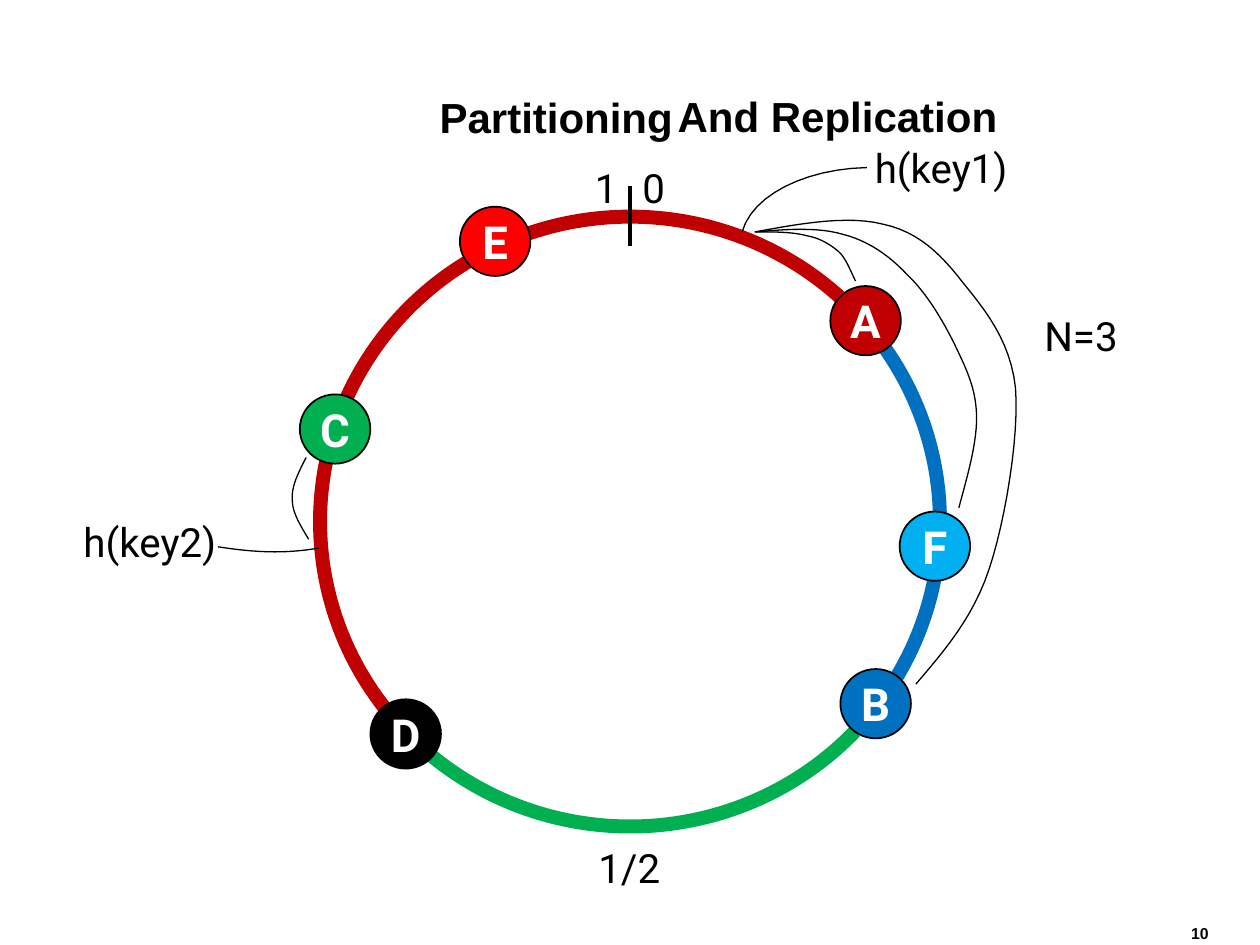
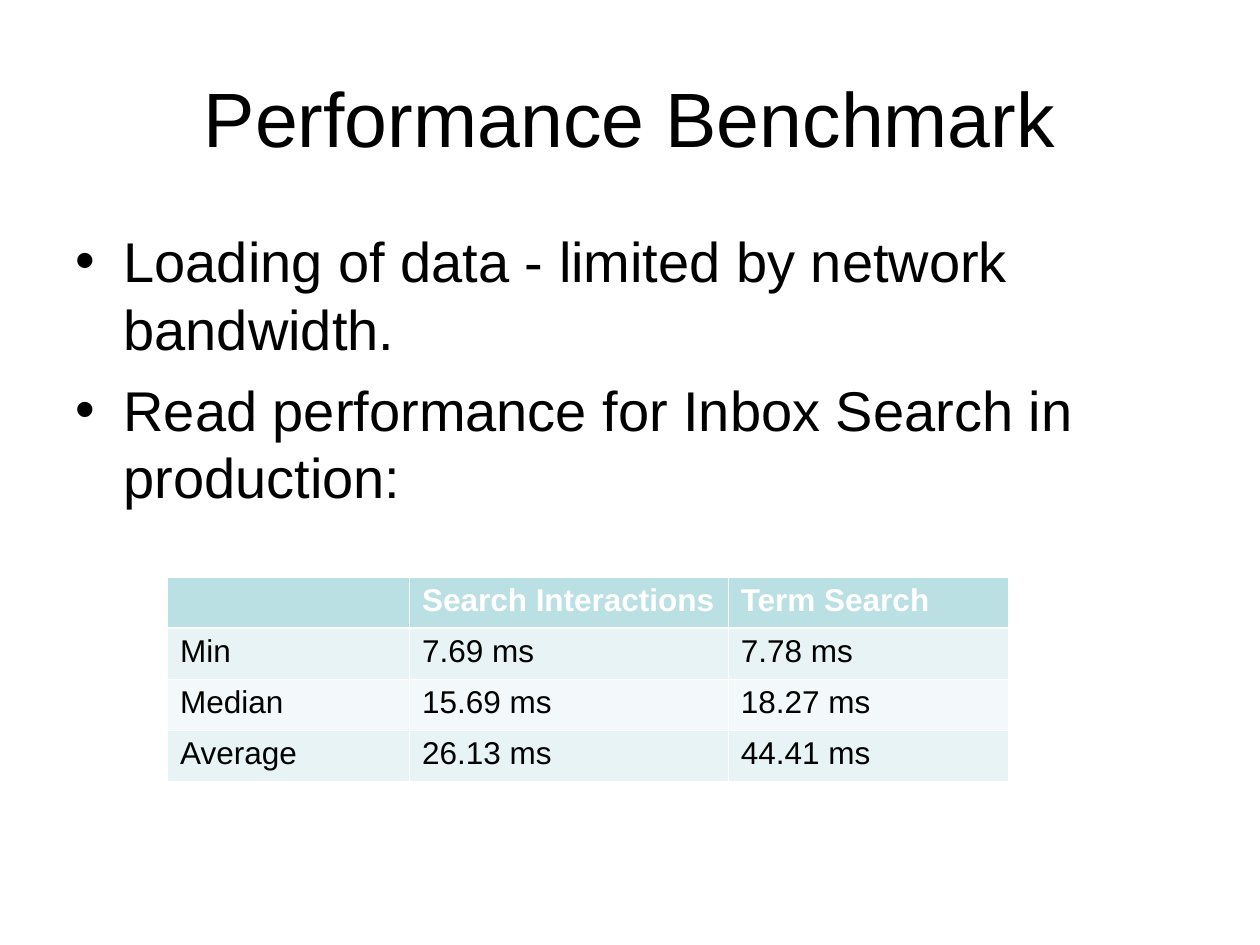
from lxml import etree
from pptx import Presentation
from pptx import util as u
from pptx.dml import color as c
from pptx.enum import shapes, text
from pptx.oxml import ns

BLACK, WHITE = "000000", "FFFFFF"
RED, BLUE, GREEN = "C00000", "0070C0", "00B050"
Inches, Pt = u.Inches, u.Pt


def rgb(hex_colour):
    return c.RGBColor.from_string(hex_colour)


def write(frame, words, size, font="Arial", colour=BLACK, bold=False, align="LEFT"):
    """Fill a text frame with uniformly styled paragraphs, one per line of words."""
    frame.text = words
    for paragraph in frame.paragraphs:
        paragraph.alignment = getattr(text.PP_ALIGN, align)
        paragraph.font.name = font
        paragraph.font.size = Pt(size)
        paragraph.font.bold = bold
        paragraph.font.color.rgb = rgb(colour)


presentation = Presentation()
presentation.slide_width, presentation.slide_height = Inches(10), Inches(7.5)

# Slides and their titles: layout 5 is title only, layout 1 adds a body
slides = []
for layout, heading, width, size, bold in [
    (5, "Partitioning", 7.83, 24, True),
    (1, "Performance Benchmark", 9, 44, False),
]:
    slide = presentation.slides.add_slide(presentation.slide_layouts[layout])
    title = slide.shapes.title
    title.left, title.top = Inches(0.5), Inches(0.3)
    title.width, title.height = Inches(width), Inches(1.25)
    title.text_frame.vertical_anchor = text.MSO_ANCHOR.MIDDLE
    write(title.text_frame, heading, size, bold=bold, align="CENTER")
    slides.append(slide)
ring_slide, benchmark_slide = slides

# Hash ring: arcs run clockwise, in degrees from three o'clock
for start, end, colour in [(43, 131, GREEN), (323.6, 30.4, BLUE), (142, 313, RED)]:
    arc = ring_slide.shapes.add_shape(
        shapes.MSO_SHAPE.ARC, Inches(2.54), Inches(1.72), Inches(4.92), Inches(4.84))
    arc.adjustments[0], arc.adjustments[1] = start * 0.6, end * 0.6
    arc.shadow.inherit = False
    arc.fill.background()
    arc.line.color.rgb = rgb(colour)
    arc.line.width = Pt(8)

# Mark where the ring wraps from 1 to 0
tick = ring_slide.shapes.add_connector(
    shapes.MSO_CONNECTOR.STRAIGHT, Inches(5), Inches(1.48), Inches(5), Inches(1.95))
tick.line.color.rgb = rgb(BLACK)
tick.line.width = Pt(2.25)
etree.SubElement(tick._element.spPr, ns.qn("a:effectLst"))

# Nodes on the ring
for name, left, top, colour in [
    ("F", 7.14, 4.06, "00B0F0"),
    ("E", 3.65, 1.64, "FF0000"),
    ("D", 2.94, 5.55, BLACK),
    ("C", 2.38, 3.13, GREEN),
    ("B", 6.67, 5.31, BLUE),
    ("A", 6.59, 2.27, RED),
]:
    node = ring_slide.shapes.add_shape(
        shapes.MSO_SHAPE.OVAL, Inches(left), Inches(top), Inches(0.56), Inches(0.55))
    node.shadow.inherit = False
    node.fill.solid()
    node.fill.fore_color.rgb = rgb(colour)
    node.line.color.rgb = rgb(BLACK)
    node.line.width = Pt(1)
    frame = node.text_frame
    frame.margin_left = frame.margin_right = frame.margin_top = frame.margin_bottom = 0
    frame.word_wrap = False
    frame.vertical_anchor = text.MSO_ANCHOR.MIDDLE
    write(frame, name, 26, "Roboto", WHITE, True, "CENTER")

# Key and replica curves: a start point, then two controls and an end per Bézier piece
curves = [
    # key2 to C
    [(2.45, 4.28), (2.39, 4.18), (2.32, 4.07), (2.32, 3.97),
     (2.31, 3.86), (2.37, 3.75), (2.43, 3.63)],
    # key1 to B
    [(6, 1.84), (6.37, 1.77), (6.74, 1.71), (7.01, 1.78),
     (7.29, 1.84), (7.47, 2.02), (7.64, 2.24), (7.81, 2.45), (8.02, 2.7), (8.06, 3.08),
     (8.09, 3.46), (7.98, 4.13), (7.85, 4.52), (7.72, 4.91), (7.49, 5.17), (7.27, 5.43)],
    # key1 to F
    [(6, 1.84), (6.24, 1.82), (6.49, 1.8), (6.69, 1.86),
     (6.89, 1.91), (7.06, 2.03), (7.2, 2.18), (7.35, 2.32), (7.48, 2.54), (7.57, 2.72),
     (7.66, 2.91), (7.74, 3.06), (7.75, 3.28), (7.76, 3.5), (7.68, 3.77), (7.61, 4.03)],
    # key1 to A
    [(5.99, 1.84), (6.14, 1.84), (6.29, 1.84), (6.4, 1.87),
     (6.51, 1.89), (6.59, 1.94), (6.66, 2), (6.72, 2.06), (6.75, 2.15), (6.79, 2.23)],
    # Labels to the ring
    [(2.53, 4.35), (2.42, 4.37), (2.3, 4.38), (2.18, 4.38),
     (2.02, 4.38), (1.86, 4.36), (1.73, 4.34)],
    [(5.89, 1.84), (5.97, 1.55), (6.39, 1.34), (6.88, 1.33)],
]
STEPS = 12
for curve in curves:
    points = [[Inches(value) for value in curve[0]]]
    for first in range(0, len(curve) - 1, 3):
        piece = curve[first:first + 4]
        for step in range(1, STEPS + 1):
            t = step / STEPS
            weights = [(1 - t) ** 3, 3 * t * (1 - t) ** 2, 3 * t * t * (1 - t), t ** 3]
            points.append([Inches(sum(w * point[axis] for w, point in zip(weights, piece)))
                           for axis in (0, 1)])
    # The builder keeps whole units only, so points are in EMU
    builder = ring_slide.shapes.build_freeform(*points[0])
    builder.add_line_segments(points[1:], close=False)
    link = builder.convert_to_shape()
    link.shadow.inherit = False
    link.fill.background()
    link.line.color.rgb = rgb(BLACK)
    link.line.width = Pt(0.75)

# Labels, page number and the second half of the heading
for words, left, top, width, height, size, font, bold, align in [
    ("0", 5, 1.25, 0.37, 0.48, 23, "Roboto", False, "CENTER"),
    ("1", 3.73, 1.25, 1.27, 0.48, 23, "Roboto", False, "RIGHT"),
    ("1/2", 4.36, 6.64, 1.27, 0.48, 23, "Roboto", False, "CENTER"),
    ("N=3", 8.18, 2.42, 0.8, 0.48, 23, "Roboto", False, "CENTER"),
    ("h(key2)", 0.55, 4.06, 1.28, 0.48, 23, "Roboto", False, "CENTER"),
    ("h(key1)", 6.83, 1.09, 1.28, 0.48, 23, "Roboto", False, "CENTER"),
    ("10", 9.24, 7.28, 0.45, 0.33, 9, "Arial", True, "RIGHT"),
    ("And Replication", 5.28, 0.5, 4.5, 0.83, 24, "Arial", True, "LEFT"),
]:
    label = ring_slide.shapes.add_textbox(
        Inches(left), Inches(top), Inches(width), Inches(height))
    label.text_frame.word_wrap = font == "Arial"
    if size == 24:
        label.text_frame.vertical_anchor = text.MSO_ANCHOR.MIDDLE
    write(label.text_frame, words, size, font, bold=bold, align=align)

# Benchmark bullets
body = benchmark_slide.placeholders[1]
body.left, body.top, body.width, body.height = (
    Inches(0.5), Inches(1.75), Inches(9), Inches(4.95))
body.text_frame.auto_size = text.MSO_AUTO_SIZE.NONE
write(body.text_frame,
      "Loading of data - limited by network bandwidth.\n"
      "Read performance for Inbox Search in production:", 32)
for paragraph in body.text_frame.paragraphs:
    paragraph.space_before = Pt(8)
    properties = paragraph._p.get_or_add_pPr()
    properties.set("marL", str(Inches(0.38)))
    properties.set("indent", str(-Inches(0.38)))

# Benchmark table
rows = [
    ("", "Search Interactions", "Term Search"),
    ("Min", "7.69 ms", "7.78 ms"),
    ("Median", "15.69 ms", "18.27 ms"),
    ("Average", "26.13 ms", "44.41 ms"),
]
row_fills = ["BBE0E3", "E7F3F4", "F3F9FA", "E7F3F4"]
table = benchmark_slide.shapes.add_table(
    len(rows), 3, Inches(1.33), Inches(4.58), Inches(6.67), Inches(1.62)).table
for column, width in zip(table.columns, (1.92, 2.53, 2.22)):
    column.width = Inches(width)
for row_index, values in enumerate(rows):
    header = row_index == 0
    for column_index, value in enumerate(values):
        cell = table.cell(row_index, column_index)
        write(cell.text_frame, value, 18, colour=WHITE if header else BLACK, bold=header)
        cell_properties = cell._tc.get_or_add_tcPr()
        for side in ("lnL", "lnR", "lnT", "lnB"):
            under_header = (row_index, side) in [(0, "lnB"), (1, "lnT")]
            border = etree.SubElement(cell_properties, ns.qn("a:" + side),
                                      w=str(Pt(1.47 if under_header else 0.45)))
            solid = etree.SubElement(border, ns.qn("a:solidFill"))
            etree.SubElement(solid, ns.qn("a:srgbClr"), val=WHITE)
        cell.fill.solid()
        cell.fill.fore_color.rgb = rgb(row_fills[row_index])

presentation.save("out.pptx")
